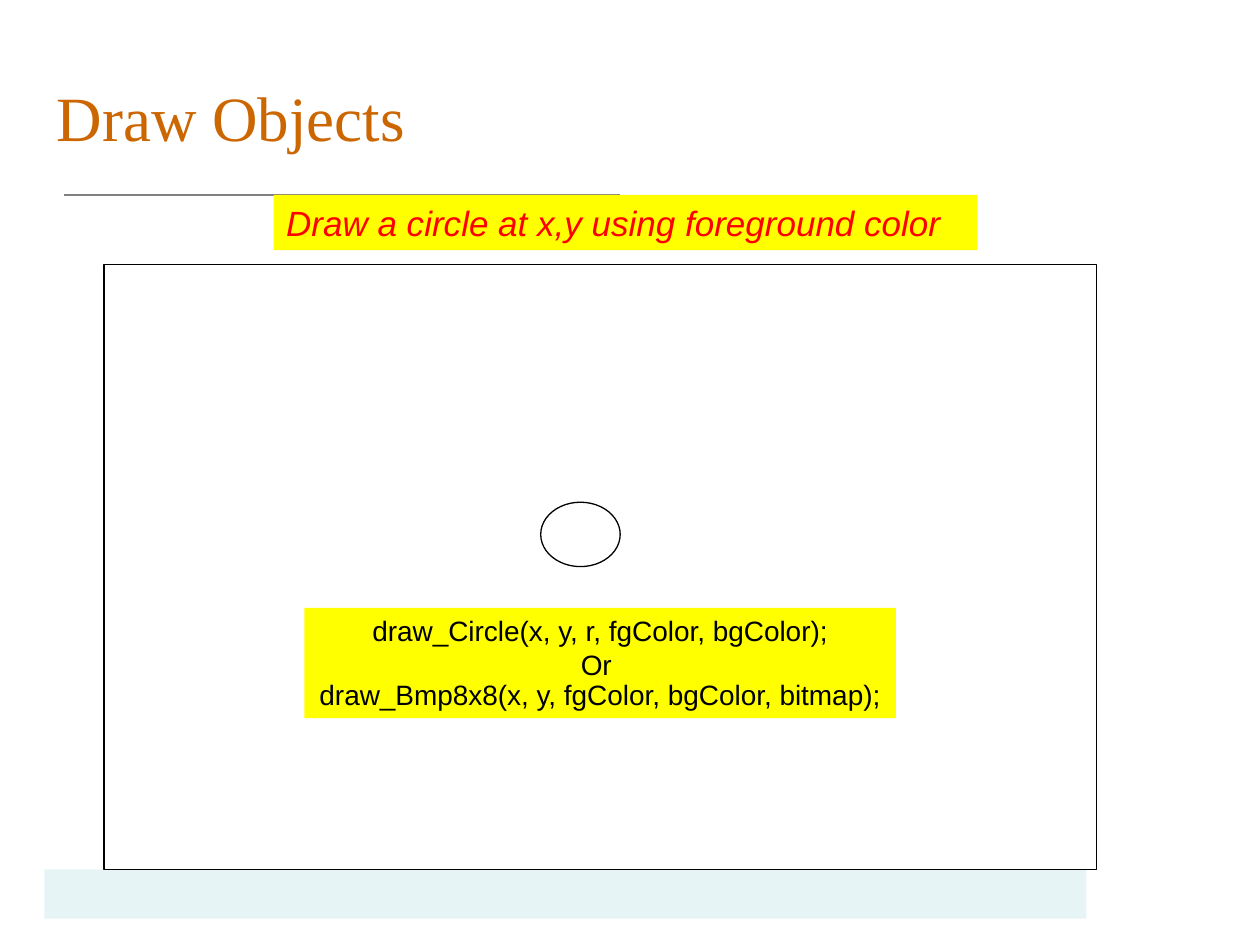
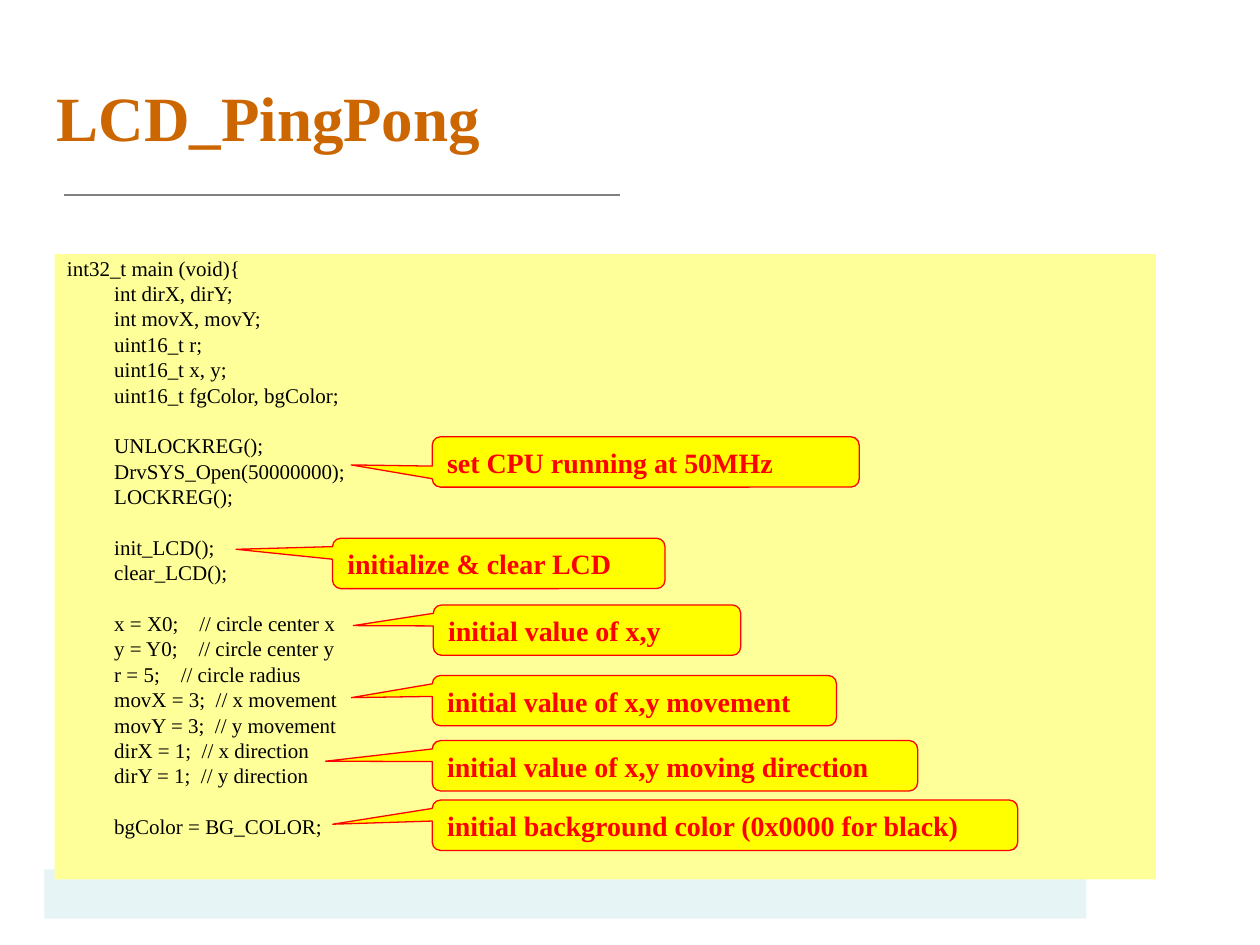
"""Build two slides on drawing circles and the set-up of a ping-pong game."""
import dataclasses
import typing

import pptx
import pptx.dml.color
import pptx.enum.shapes
import pptx.enum.text
import pptx.oxml.xmlchemy
import pptx.presentation
import pptx.shapes.autoshape
import pptx.slide
import pptx.text.text
import pptx.util

Pt = pptx.util.Pt
Color = pptx.dml.color.RGBColor
Kind = pptx.enum.shapes.MSO_SHAPE
Align = pptx.enum.text.PP_ALIGN
Anchor = pptx.enum.text.MSO_ANCHOR

BLACK = Color(0x00, 0x00, 0x00)
RED = Color(0xFF, 0x00, 0x00)
YELLOW = Color(0xFF, 0xFF, 0x00)
CREAM = Color(0xFF, 0xFF, 0x99)
ORANGE = Color(0xCC, 0x66, 0x00)
GRAY = Color(0x80, 0x80, 0x80)
MINT = Color(0xE7, 0xF4, 0xF5)

SERIF = "Times New Roman"
SANS = "Arial"

CODE_PITCH = 11.5
CODE_SPACE = 3
CODE_INDENT = 27
CODE = """\
int32_t main (void){
    int dirX, dirY;
    int movX, movY;
    uint16_t r;
    uint16_t x, y;
    uint16_t fgColor, bgColor;

    UNLOCKREG();
    DrvSYS_Open(50000000);
    LOCKREG();

    init_LCD();
    clear_LCD();

    x = X0;    // circle center x
    y = Y0;    // circle center y
    r = 5;    // circle radius
    movX = 3;  // x movement
    movY = 3;  // y movement
    dirX = 1;  // x direction
    dirY = 1;  // y direction

    bgColor = BG_COLOR;"""


@dataclasses.dataclass(frozen=True)
class Box:
    left: float
    top: float
    width: float
    height: float

    def spread(self) -> tuple[int, ...]:
        return tuple(Pt(part) for part in dataclasses.astuple(self))


@dataclasses.dataclass(frozen=True)
class Callout:
    text: str
    box: Box
    tip: tuple[float, float]


CALLOUTS = (
    Callout("initial value of x,y movement", Box(247, 386, 231, 28.8), (-0.7, -0.06)),
    Callout("initial value of x,y", Box(247.6, 345.7, 175.7, 28.8), (-0.76, -0.09)),
    Callout("set CPU running at 50MHz", Box(247, 249.6, 244, 28.8), (-0.69, 0.06)),
    Callout("initial background color (0x0000 for black)",
            Box(247, 457.2, 334.6, 28.8), (-0.67, -0.02)),
    Callout("initialize & clear LCD", Box(190, 307.6, 190, 28.8), (-0.79, -0.28)),
    Callout("initial value of x,y moving direction",
            Box(247, 423.2, 277.4, 28.8), (-0.72, -0.09)),
)


def write(
    frame: pptx.text.text.TextFrame,
    text: str,
    *,
    size: float,
    color: Color,
    face: str = SERIF,
    bold: bool = False,
    slant: bool = False,
    align: Align = Align.LEFT,
    anchor: Anchor = Anchor.TOP,
    wrap: bool = True,
) -> None:
    frame.auto_size = pptx.enum.text.MSO_AUTO_SIZE.NONE
    frame.word_wrap = wrap
    frame.vertical_anchor = anchor
    for place, line in enumerate(text.split("\n")):
        para = frame.add_paragraph() if place else frame.paragraphs[0]
        para.alignment = align
        run = para.add_run()
        run.text = line
        font = run.font
        font.name, font.size, font.bold, font.italic = face, Pt(size), bold, slant
        font.color.rgb = color


def draw(
    slide: pptx.slide.Slide,
    kind: Kind,
    box: Box,
    fill: typing.Optional[Color] = None,
    line: typing.Optional[Color] = None,
) -> pptx.shapes.autoshape.Shape:
    shape = slide.shapes.add_shape(kind, *box.spread())
    shape.shadow.inherit = False
    if fill is None:
        shape.fill.background()
    else:
        shape.fill.solid()
        shape.fill.fore_color.rgb = fill
    if line is None:
        shape.line.fill.background()
    else:
        shape.line.color.rgb = line
        shape.line.width = Pt(0.75)
    return shape


def start(deck: pptx.presentation.Presentation, text: str, bold: bool = False) -> pptx.slide.Slide:
    slide = deck.slides.add_slide(deck.slide_layouts.get_by_name("Title Only"))
    title = slide.shapes.title
    title.left, title.top, title.width, title.height = Box(25.2, 21.6, 669, 90).spread()
    write(title.text_frame, text, size=36, color=ORANGE, bold=bold, anchor=Anchor.MIDDLE)
    draw(slide, Kind.RECTANGLE, Box(25.4, 496.8, 595.4, 28.1), MINT)
    rule = slide.shapes.add_connector(
        pptx.enum.shapes.MSO_CONNECTOR.STRAIGHT, Pt(354.2), Pt(111.5), Pt(36.8), Pt(111.5))
    rule.line.color.rgb = GRAY
    rule.line.width = Pt(0.75)
    rule._element.spPr.append(pptx.oxml.xmlchemy.OxmlElement("a:effectLst"))
    return slide


def show_code(slide: pptx.slide.Slide) -> None:
    panel = draw(slide, Kind.RECTANGLE, Box(31.2, 145.2, 629.4, 357.4), CREAM)
    blocks = [part.split("\n") for part in CODE.split("\n\n")]
    lines = [line.replace("    ", "\t", 1) if line.startswith(" ") else line
             for block in blocks for line in block]
    heads = {sum(map(len, blocks[:count])) for count in range(1, len(blocks))}
    frame = panel.text_frame
    write(frame, "\n".join(lines), size=12, color=BLACK)
    for place, para in enumerate(frame.paragraphs):
        para.line_spacing = Pt(CODE_PITCH)
        gap = CODE_PITCH + CODE_SPACE if place in heads else 0
        para.space_before = Pt(CODE_SPACE + gap if place else 0)
        props = para._p.get_or_add_pPr()
        props.set("marL", str(int(Pt(CODE_INDENT))))
        props.set("indent", str(-int(Pt(CODE_INDENT))))


def show_circle(deck: pptx.presentation.Presentation) -> None:
    slide = start(deck, "Draw Objects")
    draw(slide, Kind.RECTANGLE, Box(59.5, 151, 567, 345.8), line=BLACK)
    draw(slide, Kind.OVAL, Box(309, 287, 45.4, 36.8), line=BLACK)
    calls = draw(slide, Kind.RECTANGLE, Box(174, 347.3, 338, 63), YELLOW).text_frame
    write(calls, "draw_Circle(x, y, r, fgColor, bgColor);\nOr \n"
          "draw_Bmp8x8(x, y, fgColor, bgColor, bitmap);",
          size=16, color=BLACK, face=SANS, align=Align.CENTER, wrap=False)
    calls.paragraphs[-1].line_spacing = 0.9
    note = draw(slide, Kind.RECTANGLE, Box(156.4, 111.4, 402.2, 31.5), YELLOW)
    write(note.text_frame, "Draw a circle at x,y using foreground color",
          size=20, color=RED, face=SANS, slant=True)


def show_game(deck: pptx.presentation.Presentation) -> None:
    slide = start(deck, "LCD_PingPong", bold=True)
    show_code(slide)
    for item in CALLOUTS:
        shape = draw(slide, Kind.ROUNDED_RECTANGULAR_CALLOUT, item.box, YELLOW, RED)
        shape.adjustments[0], shape.adjustments[1] = item.tip
        write(shape.text_frame, item.text, size=16, color=RED, bold=True)


def main() -> None:
    deck = pptx.Presentation()
    deck.slide_width, deck.slide_height = Pt(720), Pt(540)
    show_circle(deck)
    show_game(deck)
    deck.save("out.pptx")


if __name__ == "__main__":
    main()
